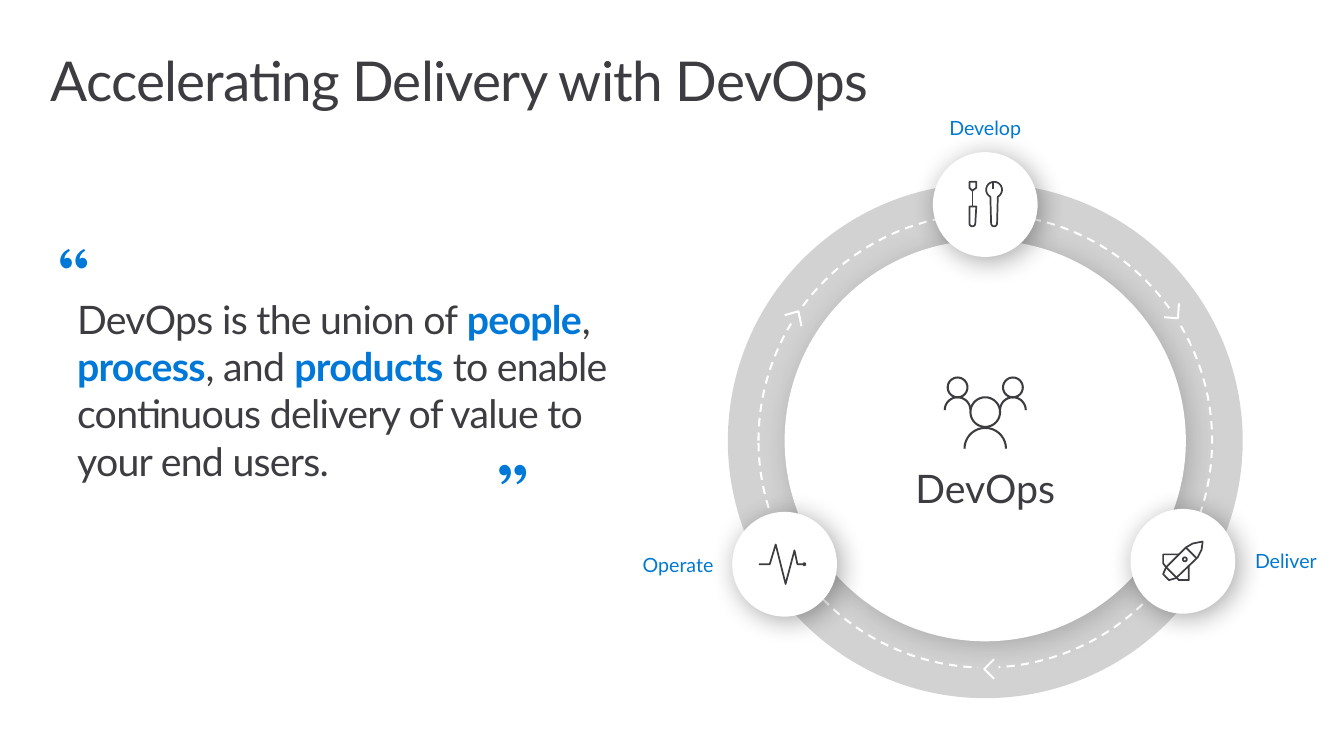
from math import cos, radians, sin

from lxml import etree
from pptx import Presentation
from pptx.dml.color import RGBColor
from pptx.enum.dml import MSO_LINE
from pptx.enum.shapes import MSO_SHAPE
from pptx.enum.text import MSO_ANCHOR, MSO_AUTO_SIZE, PP_ALIGN
from pptx.oxml.ns import qn
from pptx.util import Inches, Pt

DASH = MSO_LINE.DASH
OVAL, RECT = MSO_SHAPE.OVAL, MSO_SHAPE.RECTANGLE
TOP, MIDDLE = MSO_ANCHOR.TOP, MSO_ANCHOR.MIDDLE
FIXED = MSO_AUTO_SIZE.NONE
LEFT, CENTER, RIGHT = PP_ALIGN.LEFT, PP_ALIGN.CENTER, PP_ALIGN.RIGHT

COLORS = {"ink": "3C3C41", "blue": "0078D7", "label": "0078D4",
          "ring": "D2D2D2", "white": "FFFFFF", "black": "000000"}
HUB_X, HUB_Y = 9.97, 4.46


def arc(x, y, r, start=0, end=360):
    """Return points along an arc, clockwise from the right."""
    count = max(8, abs(end - start) // 10)
    angles = [radians(start + (end - start) * i / count) for i in range(count + 1)]
    return [(x + r * cos(a), y + r * sin(a)) for a in angles]


def loop(points):
    """Return the points with the first one repeated at the end."""
    return points + points[:1]


class Deck:
    """Hold the style and the current slide."""

    def __init__(self):
        self.prs = Presentation()
        self.prs.slide_width, self.prs.slide_height = Inches(13.6), Inches(7.65)
        self.slide = self.prs.slides.add_slide(self.prs.slide_layouts[5])
        self.shapes = self.slide.shapes

    def color(self, name):
        """Return the named colour."""
        return RGBColor.from_string(COLORS[name])

    def words(self, box, runs, size, font="Lato", space=0, inset=(0, 0, 0, 0),
              anchor=TOP, align=LEFT, wrap=True, leading=None):
        """Fill a box with one paragraph of (text, colour, bold) runs."""
        frame = box.text_frame
        sides = ("margin_left", "margin_top", "margin_right", "margin_bottom")
        style = dict(zip(sides, map(Inches, inset)))
        style.update(vertical_anchor=anchor, word_wrap=wrap, auto_size=FIXED)
        for key, value in style.items():
            setattr(frame, key, value)
        para = frame.paragraphs[0]
        para.alignment = align
        if leading:
            para.line_spacing = Pt(leading)
        for text, color, bold in runs:
            run = para.add_run()
            run.text = text
            for key, value in {"name": font, "size": Pt(size), "bold": bold}.items():
                setattr(run.font, key, value)
            run.font.color.rgb = self.color(color)
            if space:
                run.font._element.set("spc", str(int(space * 100)))

    def title(self, text, at, **style):
        """Place and fill the title."""
        box = self.shapes.title
        for key, value in zip(("left", "top", "width", "height"), at):
            setattr(box, key, Inches(value))
        self.words(box, [(text, "ink", False)], **style)

    def text(self, runs, at, size, **style):
        """Add a text box."""
        self.words(self.shapes.add_textbox(*map(Inches, at)), runs, size, **style)

    def label(self, text, at, align, size=14.3, color="label"):
        """Add a label that does not wrap."""
        self.text([(text, color, False)], at, size, inset=(0.2, 0, 0.2, 0),
                  anchor=MIDDLE, align=align, wrap=False)

    def paint(self, shape, fill=None, line=None, width=1.5):
        """Set fill and line."""
        shape.shadow.inherit = False
        if fill:
            shape.fill.solid()
            shape.fill.fore_color.rgb = self.color(fill)
        else:
            shape.fill.background()
        if line:
            shape.line.color.rgb = self.color(line)
            shape.line.width = Pt(width)
        else:
            shape.line.fill.background()
        return shape

    def block(self, kind, x, y, size, **style):
        """Add a preset shape centred on a point."""
        at = map(Inches, (x - size / 2, y - size / 2, size, size))
        return self.paint(self.shapes.add_shape(kind, *at), **style)

    def disc(self, x, y, size, alpha):
        """Add a white disc with a soft shadow."""
        shape = self.block(OVAL, x, y, size, fill="white")
        glow = etree.SubElement(
            shape._element.spPr.find(qn("a:effectLst")), qn("a:outerShdw"),
            blurRad=str(Pt(20)), dist=str(Pt(4)), dir="2700000", algn="ctr", rotWithShape="0")
        tint = etree.SubElement(glow, qn("a:srgbClr"), val=COLORS["black"])
        etree.SubElement(tint, qn("a:alpha"), val=str(alpha * 1000))

    def draw(self, strokes, **style):
        """Add an outline made of several strokes."""
        strokes = [[(Inches(x), Inches(y)) for x, y in s] for s in strokes]
        pen = self.shapes.build_freeform(*strokes[0][0])
        for i, stroke in enumerate(strokes):
            if i:
                pen.move_to(*stroke[0])
            pen.add_line_segments(stroke[1:], close=False)
        self.paint(pen.convert_to_shape(), **style)


ARROWS = [
    (11.9, 3.2, 229.4, [(11.93, 3.07), (11.92, 3.22), (11.78, 3.21)]),
    (8.07, 3.19, 122.8, [(7.94, 3.19), (8.08, 3.15), (8.11, 3.3)]),
    (10, 6.78, 0, [(10.06, 6.87), (9.96, 6.77), (10.06, 6.67)]),
]
TOOLS = [
    loop(arc(10.06, 1.92, 0.08, 118, 422) + arc(10.06, 2.26, 0.03, 0, 180)),
    loop([(9.81, 2.09), (9.88, 2.09)] + arc(9.84, 2.26, 0.03, 0, 180)),
    loop([(9.88, 1.84), (9.81, 1.84), (9.81, 1.9), (9.84, 1.93), (9.88, 1.9)]),
    [(9.84, 1.93), (9.84, 2.09)],
    [(10.05, 1.84), (10.05, 1.91)],
]
PULSE = [
    [(7.68, 5.71), (7.79, 5.71), (7.85, 5.51), (7.95, 5.91),
     (8.04, 5.57), (8.07, 5.71), (8.13, 5.71)],
    arc(8.14, 5.71, 0.01),
]
ROCKET = [
    loop([(12.17, 5.48), (12.16, 5.56), (12.12, 5.64), (11.9, 5.85), (11.83, 5.87),
          (11.77, 5.81), (11.8, 5.74), (12, 5.54), (12.07, 5.5)]),
    [(12, 5.54), (12.11, 5.65)],
    [(11.93, 5.61), (11.77, 5.61), (11.77, 5.7), (11.8, 5.74)],
    [(11.8, 5.74), (11.93, 5.87), (12.03, 5.87), (12.03, 5.72)],
    arc(11.99, 5.66, 0.02),
]
TEAM = [arc(HUB_X, 4.17, 0.15), arc(HUB_X, 4.54, 0.21, 180, 360)]
for side in (HUB_X - 0.28, HUB_X + 0.28):
    TEAM += [arc(side, 3.92, 0.1), arc(side, 4.15, 0.13, 180, 360)]
STAGES = [
    ("Develop", (9.24, 1.14, 1.46, 0.3), CENTER, HUB_X, 2.07, TOOLS),
    ("Operate", (6.18, 5.56, 1.24, 0.3), RIGHT, 7.94, 5.71, PULSE),
    ("Deliver", (12.5, 5.52, 1.1, 0.3), LEFT, 11.97, 5.68, ROCKET),
]
QUOTE = [
    ("DevOps is the union of ", "ink", False), ("people", "blue", True),
    (", ", "ink", False), ("process", "blue", True),
    (", and ", "ink", False), ("products", "blue", True),
    (" to enable continuous delivery of value to your end users.", "ink", False),
]


def main():
    """Build the slide."""
    deck = Deck()
    deck.title("Accelerating Delivery with DevOps", (0.51, 0.69, 12.61, 0.46),
               size=40, space=-0.5, leading=32)
    deck.text(QUOTE, (0.78, 2.89, 5.69, 2.59), 28.6, space=-0.5, inset=(0, 0.1, 0.16, 0.1))
    deck.block(OVAL, HUB_X, HUB_Y, 5.21, fill="ring")
    deck.block(OVAL, HUB_X, HUB_Y, 4.59, line="white").line.dash_style = DASH
    for x, y, turn, points in ARROWS:
        deck.block(RECT, x, y, 0.21, fill="ring").rotation = turn
        deck.draw([points], fill="ring", line="white")
    deck.disc(HUB_X, HUB_Y, 4.06, 19)
    deck.draw(TEAM, line="ink")
    deck.label("DevOps", (9.24, 4.79, 1.46, 0.3), CENTER, 28.6, "ink")
    for name, at, align, x, y, icon in STAGES:
        deck.label(name, at, align)
        deck.disc(x, y, 1.06, 35)
        deck.draw(icon, line="ink", width=1.25)
    for mark, x, y in (("“", 0.47, 2.2), ("”", 4.92, 4.38)):
        deck.text([(mark, "blue", False)], (x, y, 0.88, 1.22), 65.3, font="TeX Gyre Bonum",
                  space=-0.1, inset=(0.1, 0.05, 0.1, 0.05), wrap=False)
    deck.prs.save("out.pptx")


if __name__ == "__main__":
    main()
